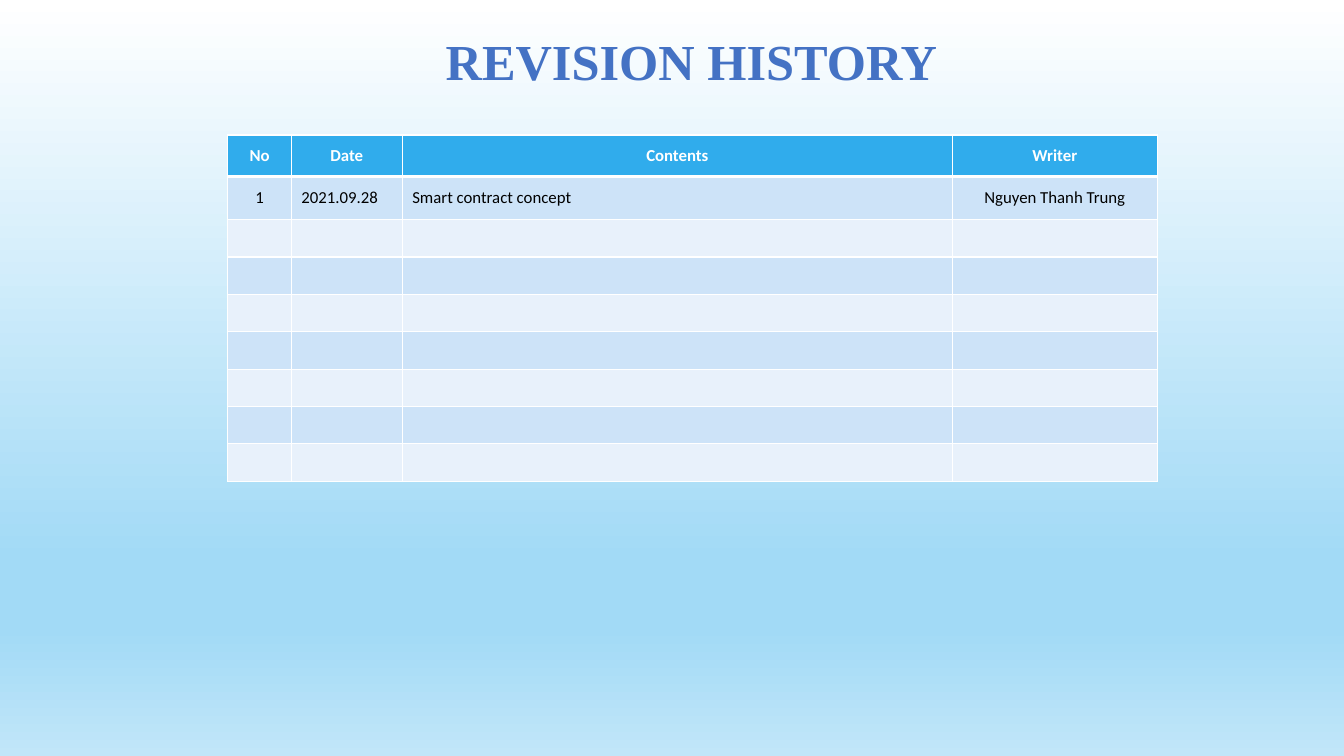
from lxml.etree import SubElement
from pptx import Presentation
from pptx.dml.color import RGBColor
from pptx.enum.text import MSO_ANCHOR as Anchor, PP_ALIGN as Align
from pptx.oxml.ns import qn
from pptx.util import Pt

COLORS = {
    "title": "4472C4", "header": "30ACEC", "band_dark": "CDE3F8",
    "band_light": "E8F1FB", "white": "FFFFFF", "black": "000000",
    "sky": "A2DAF6", "pale_sky": "C1E6F9",
}
BACKGROUND_STOPS = [(0, "white"), (74, "sky"), (83, "sky"), (100, "pale_sky")]
COLUMNS = [("No", 45.4), ("Date", 79.2), ("Contents", 393.1), ("Writer", 146.2)]
REVISIONS = [("1", "2021.09.28", "Smart contract concept", "Nguyen Thanh Trung")]
REVISION_ALIGNS = [Align.CENTER, Align.LEFT, Align.LEFT, Align.CENTER]
ROW_HEIGHTS = [29.5, 31] + [26.7] * 7


class SlideBuilder:
    title_font, body_font = "Times New Roman", "Calibri"
    title_size, body_size = 36, 12

    def __init__(self, deck):
        self.slide = deck.slides.add_slide(deck.slide_layouts[5])

    def background(self, stops):
        fill = self.slide.background.fill
        fill.gradient()
        fill.gradient_angle = 270
        stop_list = self.slide.element.find(".//" + qn("a:gsLst"))
        for old_stop in list(stop_list):
            stop_list.remove(old_stop)
        for percent, color in stops:
            stop = SubElement(stop_list, qn("a:gs"), pos=str(percent * 1000))
            SubElement(stop, qn("a:srgbClr"), val=COLORS[color])

    def run(self, para, text, font_name, size, color, bold):
        span = para.add_run()
        span.text = text
        font = span.font
        font.name, font.size, font.bold = font_name, Pt(size), bold
        font.color.rgb = RGBColor.from_string(COLORS[color])

    def title(self, text, left, top, width, height):
        box = self.slide.shapes.title
        box.left, box.top, box.width, box.height = map(Pt, (left, top, width, height))
        frame = box.text_frame
        frame.vertical_anchor = Anchor.MIDDLE
        para = frame.paragraphs[0]
        para.alignment = Align.CENTER
        self.run(para, text, self.title_font, self.title_size, "title", True)

    def borders(self, cell, bottom):
        properties = cell._tc.get_or_add_tcPr()
        for side, width in (("L", 1), ("R", 1), ("T", 1), ("B", bottom)):
            line = SubElement(properties, qn(f"a:ln{side}"), w=str(Pt(width)))
            fill = SubElement(line, qn("a:solidFill"))
            SubElement(fill, qn("a:srgbClr"), val=COLORS["white"])

    def cell(self, cell, text, align, fill, color="black", bold=False, bottom=1):
        self.borders(cell, bottom)
        cell.fill.solid()
        cell.fill.fore_color.rgb = RGBColor.from_string(COLORS[fill])
        cell.vertical_anchor = Anchor.MIDDLE
        para = cell.text_frame.paragraphs[0]
        para.alignment = align
        if text:
            self.run(para, text, self.body_font, self.body_size, color, bold)
        else:
            # Keeps the empty line from stretching its row
            SubElement(para._p, qn("a:endParaRPr"), sz=str(self.body_size * 100))

    def table(self, left, top, columns, records, aligns, heights):
        """Draw a header row, the records, and empty banded rows for the rest."""
        width = sum(size for _, size in columns)
        table = self.slide.shapes.add_table(
            len(heights), len(columns), Pt(left), Pt(top), Pt(width), Pt(sum(heights))
        ).table
        for row, height in zip(table.rows, heights):
            row.height = Pt(height)
        for index, (heading, size) in enumerate(columns):
            table.columns[index].width = Pt(size)
            self.cell(table.cell(0, index), heading, Align.CENTER, "header",
                      color="white", bold=True, bottom=3)
            for row in range(1, len(heights)):
                text = records[row - 1][index] if row <= len(records) else ""
                band = "band_dark" if row % 2 else "band_light"
                self.cell(table.cell(row, index), text, aligns[index], band)


def main():
    deck = Presentation()
    deck.slide_width, deck.slide_height = Pt(960), Pt(540)
    page = SlideBuilder(deck)
    page.background(BACKGROUND_STOPS)
    page.title("REVISION HISTORY", 284.4, 28, 419, 29.5)
    page.table(162.7, 96.5, COLUMNS, REVISIONS, REVISION_ALIGNS, ROW_HEIGHTS)
    deck.save("out.pptx")


if __name__ == "__main__":
    main()
